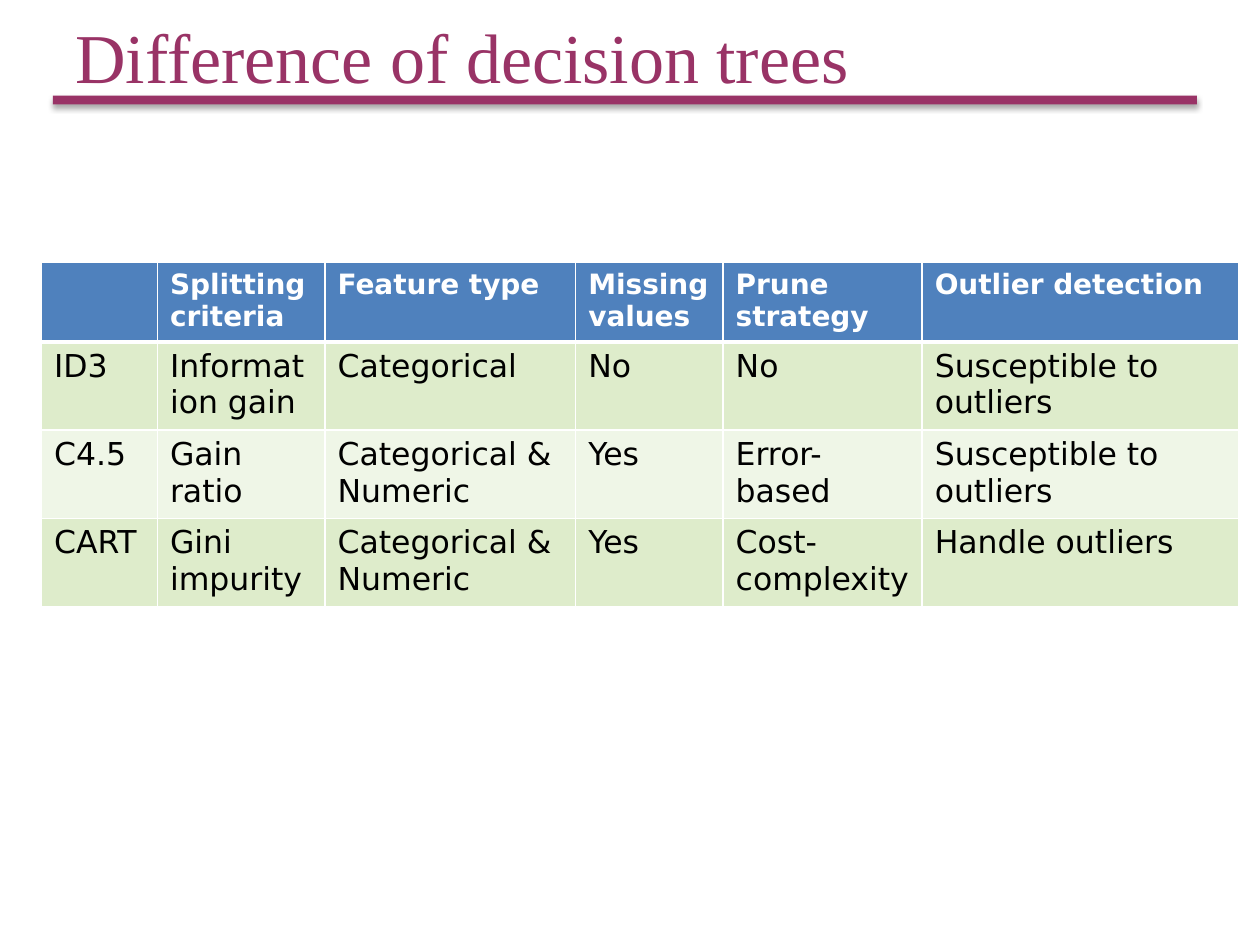
from dataclasses import dataclass

from lxml import etree
from pptx import Presentation
from pptx.dml.color import RGBColor
from pptx.enum.shapes import MSO_SHAPE
from pptx.enum.text import MSO_ANCHOR, PP_ALIGN
from pptx.oxml.ns import qn
from pptx.util import Inches, Pt

RECTANGLE = MSO_SHAPE.RECTANGLE
TOP = MSO_ANCHOR.TOP
LEFT = PP_ALIGN.LEFT
BLANK_LAYOUT = 6

PLUM, WHITE, BLACK = "993366", "FFFFFF", "000000"
HEADER_BLUE, GREEN, PALE_GREEN = "4F81BD", "DEECCB", "EFF6E7"


@dataclass(frozen=True)
class Area:
    left: float
    top: float
    width: float
    height: float

    def lengths(self) -> tuple:
        return tuple(map(Inches, (self.left, self.top, self.width, self.height)))


@dataclass(frozen=True)
class RowStyle:
    fill: str
    font: dict
    top_border: int = 1
    bottom_border: int = 1


def colour(value: str) -> RGBColor:
    return RGBColor.from_string(value)


HEADER_FONT = {"name": "DejaVu Sans", "size": Pt(16), "bold": True, "color": WHITE}
BODY_FONT = {"name": "DejaVu Sans", "size": Pt(18), "bold": False, "color": BLACK}
TITLE_FONT = {"name": "Times New Roman", "size": Pt(40), "color": PLUM}

ROW_STYLES = [
    RowStyle(HEADER_BLUE, HEADER_FONT, bottom_border=3),
    RowStyle(GREEN, BODY_FONT, top_border=3),
    RowStyle(PALE_GREEN, BODY_FONT),
    RowStyle(GREEN, BODY_FONT),
]
COLUMN_WIDTHS = [0.92, 1.33, 1.99, 1.17, 1.58, 2.51]
ROW_HEIGHTS = [0.63, 0.7, 0.7, 0.7]
COMPARISON = [
    ["", "Splitting criteria", "Feature type", "Missing values",
     "Prune strategy", "Outlier detection"],
    ["ID3", "Information gain", "Categorical", "No", "No",
     "Susceptible to outliers"],
    ["C4.5", "Gain ratio", "Categorical & Numeric", "Yes", "Error-based",
     "Susceptible to outliers"],
    ["CART", "Gini impurity", "Categorical & Numeric", "Yes",
     "Cost-complexity", "Handle outliers"],
]


def write_text(frame, text: str, font: dict) -> None:
    para = frame.paragraphs[0]
    para.alignment = LEFT
    span = para.add_run()
    span.text = text
    for name, value in font.items():
        if name == "color":
            span.font.color.rgb = colour(value)
        else:
            setattr(span.font, name, value)


def add_shadow(shape) -> None:
    shape.shadow.inherit = False
    effects = shape._element.spPr.find(qn("a:effectLst"))
    shadow = etree.SubElement(
        effects, qn("a:outerShdw"), blurRad=str(Pt(3.1)), dist=str(Pt(1.8)),
        dir="5400000", rotWithShape="0")
    black = etree.SubElement(shadow, qn("a:srgbClr"), val=BLACK)
    etree.SubElement(black, qn("a:alpha"), val="35000")


def add_bar(page, area: Area) -> None:
    bar = page.shapes.add_shape(RECTANGLE, *area.lengths())
    bar.fill.solid()
    bar.fill.fore_color.rgb = colour(PLUM)
    bar.line.fill.background()
    add_shadow(bar)


def add_title(page, area: Area, text: str) -> None:
    frame = page.shapes.add_textbox(*area.lengths()).text_frame
    settings = {"word_wrap": True, "vertical_anchor": TOP, "margin_top": Inches(0.11)}
    for name, value in settings.items():
        setattr(frame, name, value)
    write_text(frame, text, TITLE_FONT)


def set_borders(cell, style: RowStyle) -> None:
    properties = cell._tc.get_or_add_tcPr()
    widths = {"a:lnL": 1, "a:lnR": 1, "a:lnT": style.top_border,
              "a:lnB": style.bottom_border}
    # Borders must come before the fill in the cell properties
    for position, (tag, width) in enumerate(widths.items()):
        line = etree.Element(qn(tag), w=str(Pt(width)))
        fill = etree.SubElement(line, qn("a:solidFill"))
        etree.SubElement(fill, qn("a:srgbClr"), val=WHITE)
        properties.insert(position, line)


def add_comparison(page, area: Area) -> None:
    table = page.shapes.add_table(
        len(ROW_HEIGHTS), len(COLUMN_WIDTHS), *area.lengths()).table
    for column, width in zip(table.columns, COLUMN_WIDTHS):
        column.width = Inches(width)
    for row, height, style, texts in zip(
            table.rows, ROW_HEIGHTS, ROW_STYLES, COMPARISON):
        row.height = Inches(height)
        for cell, text in zip(row.cells, texts):
            cell.fill.solid()
            cell.fill.fore_color.rgb = colour(style.fill)
            set_borders(cell, style)
            if text:
                write_text(cell.text_frame, text, style.font)


def main() -> None:
    deck = Presentation()
    deck.slide_width, deck.slide_height = Inches(10), Inches(7.5)
    page = deck.slides.add_slide(deck.slide_layouts[BLANK_LAYOUT])

    # Heading with its rule
    add_bar(page, Area(0.42, 0.76, 9.08, 0.07))
    add_title(page, Area(0.5, 0, 9, 1.25), "Difference of decision trees")

    # Algorithm comparison
    add_comparison(
        page, Area(0.33, 2.08, sum(COLUMN_WIDTHS), sum(ROW_HEIGHTS)))

    deck.save("out.pptx")


if __name__ == "__main__":
    main()
